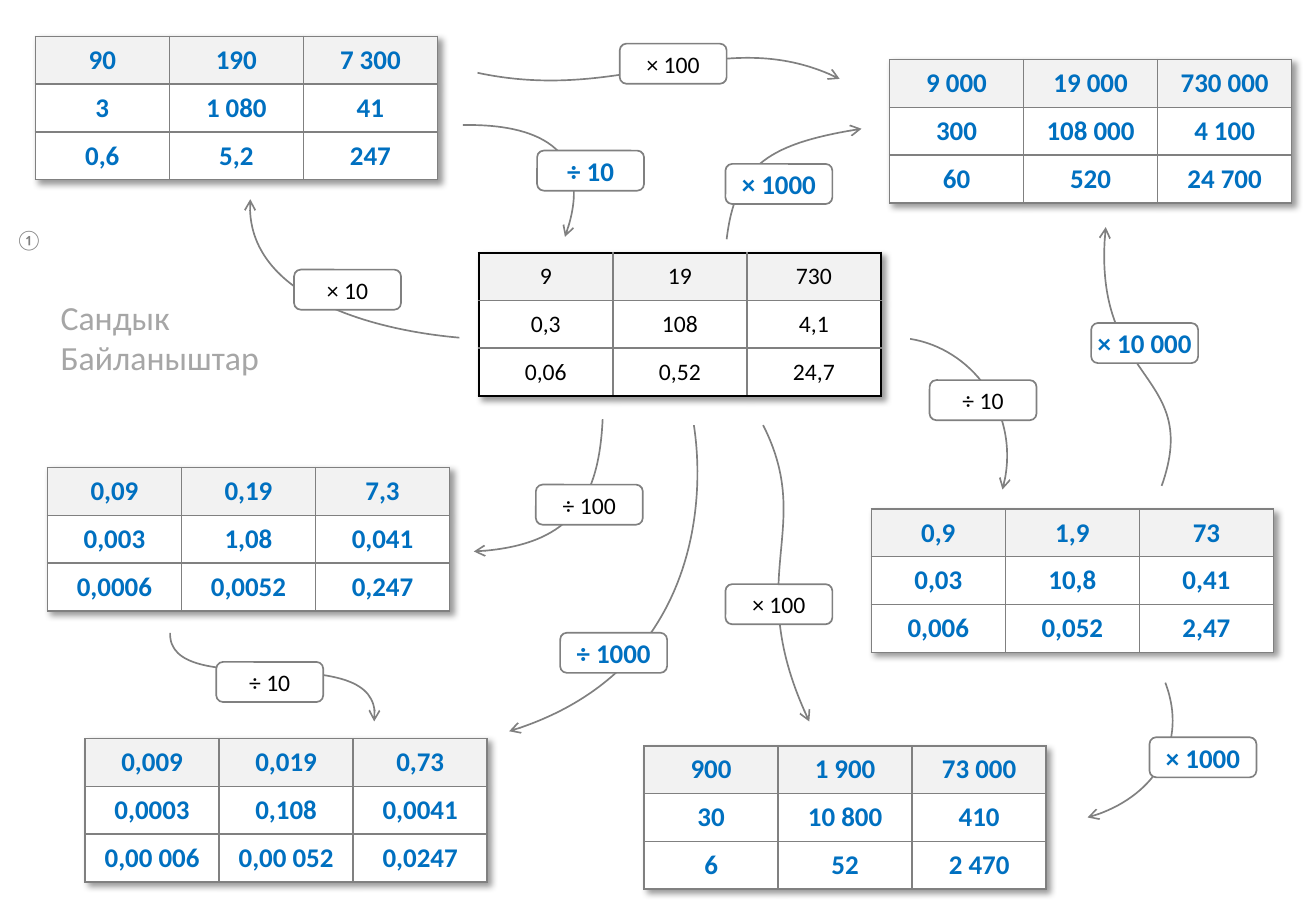
from lxml.etree import SubElement
from pptx import Presentation
from pptx.dml.color import RGBColor
from pptx.enum.shapes import MSO_SHAPE
from pptx.enum.text import MSO_ANCHOR, MSO_AUTO_SIZE, PP_ALIGN
from pptx.oxml import parse_xml
from pptx.oxml.ns import nsdecls, qn
from pptx.util import Pt

PX = 9144  # 100 px to the inch
SLIDE_SIZE = (1083, 750)
TABLE_SIZE = (331, 118)
LABEL_SIZE = (88, 33)
CURVE_STEPS = 40

BLACK = RGBColor(0x00, 0x00, 0x00)
WHITE = RGBColor(0xFF, 0xFF, 0xFF)
GREY = RGBColor(0x80, 0x80, 0x80)
PALE_GREY = RGBColor(0xF2, 0xF2, 0xF2)
TITLE_GREY = RGBColor(0xA6, 0xA6, 0xA6)
BLUE = RGBColor(0x00, 0x70, 0xC0)

# Text formats: (font values, colour)
GIVEN = ({"name": "Calibri", "size": Pt(14), "bold": False}, BLACK)
ANSWER = ({"name": "Calibri", "size": Pt(16), "bold": True}, BLUE)
NUMBER = ({"name": "Calibri", "size": Pt(12)}, GREY)
TITLE = ({"name": "Calibri", "size": Pt(20)}, TITLE_GREY)

CENTRAL_TABLE = (394, 208, (("9", "19", "730"), ("0,3", "108", "4,1"), ("0,06", "0,52", "24,7")))
ANSWER_TABLES = [
    (29, 30, (("90", "190", "7 300"), ("3", "1 080", "41"), ("0,6", "5,2", "247"))),
    (732, 49, (("9 000", "19 000", "730 000"), ("300", "108 000", "4 100"), ("60", "520", "24 700"))),
    (717, 419, (("0,9", "1,9", "73"), ("0,03", "10,8", "0,41"), ("0,006", "0,052", "2,47"))),
    (530, 614, (("900", "1 900", "73 000"), ("30", "10 800", "410"), ("6", "52", "2 470"))),
    (70, 608, (("0,009", "0,019", "0,73"), ("0,0003", "0,108", "0,0041"),
               ("0,00 006", "0,00 052", "0,0247"))),
    (39, 385, (("0,09", "0,19", "7,3"), ("0,003", "1,08", "0,041"), ("0,0006", "0,0052", "0,247"))),
]

# Start, two control points, end
ARROWS = [
    ((393, 60), (514, 86), (594, 17), (691, 65)),
    ((598, 197), (605, 138), (633, 118), (709, 106)),
    ((956, 400), (989, 307), (897, 317), (910, 187)),
    ((749, 279), (799, 287), (842, 342), (825, 403)),
    ((378, 278), (299, 271), (200, 239), (206, 164)),
    ((959, 562), (978, 612), (947, 659), (895, 673)),
    ((571, 350), (582, 422), (567, 557), (419, 602)),
    ((140, 521), (138, 578), (318, 522), (308, 594)),
    ((496, 345), (493, 410), (470, 450), (390, 454)),
    ((628, 350), (671, 435), (609, 474), (666, 594)),
    ((381, 103), (430, 102), (494, 116), (465, 195)),
]

LABELS = [
    (242, 222, "× 10", GIVEN),
    (510, 36, "× 100", GIVEN),
    (597, 135, "× 1000", ANSWER),
    (898, 266, "× 10 000", ANSWER),
    (765, 313, "÷ 10", GIVEN),
    (441, 399, "÷ 100", GIVEN),
    (461, 521, "÷ 1000", ANSWER),
    (597, 481, "× 100", GIVEN),
    (946, 607, "× 1000", ANSWER),
    (178, 545, "÷ 10", GIVEN),
    (442, 124, "÷ 10", ANSWER),
]


def emu(*lengths):
    return [length * PX for length in lengths]


def write(para, text, style):
    values, colour = style
    span = para.add_run()
    span.text = text
    for name, value in values.items():
        setattr(span.font, name, value)
    span.font.color.rgb = colour


def set_border(cell, side, colour, points):
    properties = cell._tc.get_or_add_tcPr()
    line = parse_xml(
        f'<a:{side} {nsdecls("a")} w="{Pt(points)}"><a:solidFill>'
        f'<a:srgbClr val="{colour}"/></a:solidFill></a:{side}>')
    properties.append(line)


def add_number_table(page, left, top, rows, style, outer_border=(GREY, 1)):
    count = len(rows)
    frame = page.shapes.add_table(count, count, *emu(left, top, *TABLE_SIZE))
    table = frame.table
    table.first_row = table.horz_banding = False
    table._tbl.tblPr.insert(0, parse_xml(
        f'<a:effectLst {nsdecls("a")}><a:outerShdw blurRad="50800" dist="38100" dir="2700000" '
        'algn="tl" rotWithShape="0"><a:srgbClr val="000000"><a:alpha val="40000"/></a:srgbClr>'
        '</a:outerShdw></a:effectLst>'))
    for row, texts in enumerate(rows):
        for column, text in enumerate(texts):
            cell = table.cell(row, column)
            for side in ("left", "right", "top", "bottom"):
                setattr(cell, f"margin_{side}", 0)
            cell.vertical_anchor = MSO_ANCHOR.MIDDLE
            # Borders come before the fill in the cell properties
            edges = {"lnL": column == 0, "lnR": column == count - 1,
                     "lnT": row == 0, "lnB": row == count - 1}
            for side, is_outer in edges.items():
                set_border(cell, side, *(outer_border if is_outer else (GREY, 1)))
            cell.fill.solid()
            cell.fill.fore_color.rgb = PALE_GREY if row == 0 else WHITE
            para = cell.text_frame.paragraphs[0]
            para.alignment = PP_ALIGN.CENTER
            write(para, text, style)


def curve_point(points, t):
    weights = ((1 - t) ** 3, 3 * t * (1 - t) ** 2, 3 * t * t * (1 - t), t ** 3)
    return tuple(round(sum(w * p[axis] for w, p in zip(weights, points))) for axis in (0, 1))


def add_curved_arrow(page, points):
    points = [emu(*point) for point in points]
    # Steps along the curve give the frame its true size
    builder = page.shapes.build_freeform(*points[0])
    builder.add_line_segments(
        [curve_point(points, step / CURVE_STEPS) for step in range(1, CURVE_STEPS + 1)], close=False)
    arrow = builder.convert_to_shape()
    # One Bézier segment takes the place of the steps
    steps = list(arrow._element.iter(qn("a:lnTo")))
    outline = steps[0].getparent()
    for step in steps:
        outline.remove(step)
    bezier = SubElement(outline, qn("a:cubicBezTo"))
    for x, y in points[1:]:
        SubElement(bezier, qn("a:pt"), x=str(x - arrow.left), y=str(y - arrow.top))
    arrow.shadow.inherit = False
    arrow.fill.background()
    arrow.line.color.rgb = GREY
    arrow.line.width = Pt(1)
    SubElement(arrow.line._get_or_add_ln(), qn("a:tailEnd"), type="arrow")


def add_label(page, left, top, text, style):
    box = page.shapes.add_shape(MSO_SHAPE.ROUNDED_RECTANGLE, *emu(left, top, *LABEL_SIZE))
    box.shadow.inherit = False
    box.fill.solid()
    box.fill.fore_color.rgb = WHITE
    box.line.color.rgb = GREY
    box.line.width = Pt(1)
    frame = box.text_frame
    frame.margin_left = frame.margin_right = 0
    frame.vertical_anchor = MSO_ANCHOR.MIDDLE
    para = frame.paragraphs[0]
    para.alignment = PP_ALIGN.CENTER
    write(para, text, style)


def add_text(page, left, top, width, height, lines, style):
    frame = page.shapes.add_textbox(*emu(left, top, width, height)).text_frame
    frame.word_wrap = False
    frame.auto_size = MSO_AUTO_SIZE.SHAPE_TO_FIT_TEXT
    for index, line in enumerate(lines):
        para = frame.add_paragraph() if index else frame.paragraphs[0]
        write(para, line, style)


def main():
    deck = Presentation()
    deck.slide_width, deck.slide_height = emu(*SLIDE_SIZE)
    page = deck.slides.add_slide(deck.slide_layouts[6])

    # Number tables
    add_number_table(page, *CENTRAL_TABLE, GIVEN, outer_border=(BLACK, 1.5))
    for table in ANSWER_TABLES:
        add_number_table(page, *table, ANSWER)

    # Arrows, with the operations over them
    for points in ARROWS:
        add_curved_arrow(page, points)
    for label in LABELS:
        add_label(page, *label)

    # Sheet number and title
    add_text(page, 3, 182, 43, 30, ["①"], NUMBER)
    add_text(page, 40, 239, 185, 77, ["Сандык", "Байланыштар"], TITLE)

    deck.save("out.pptx")


if __name__ == "__main__":
    main()
